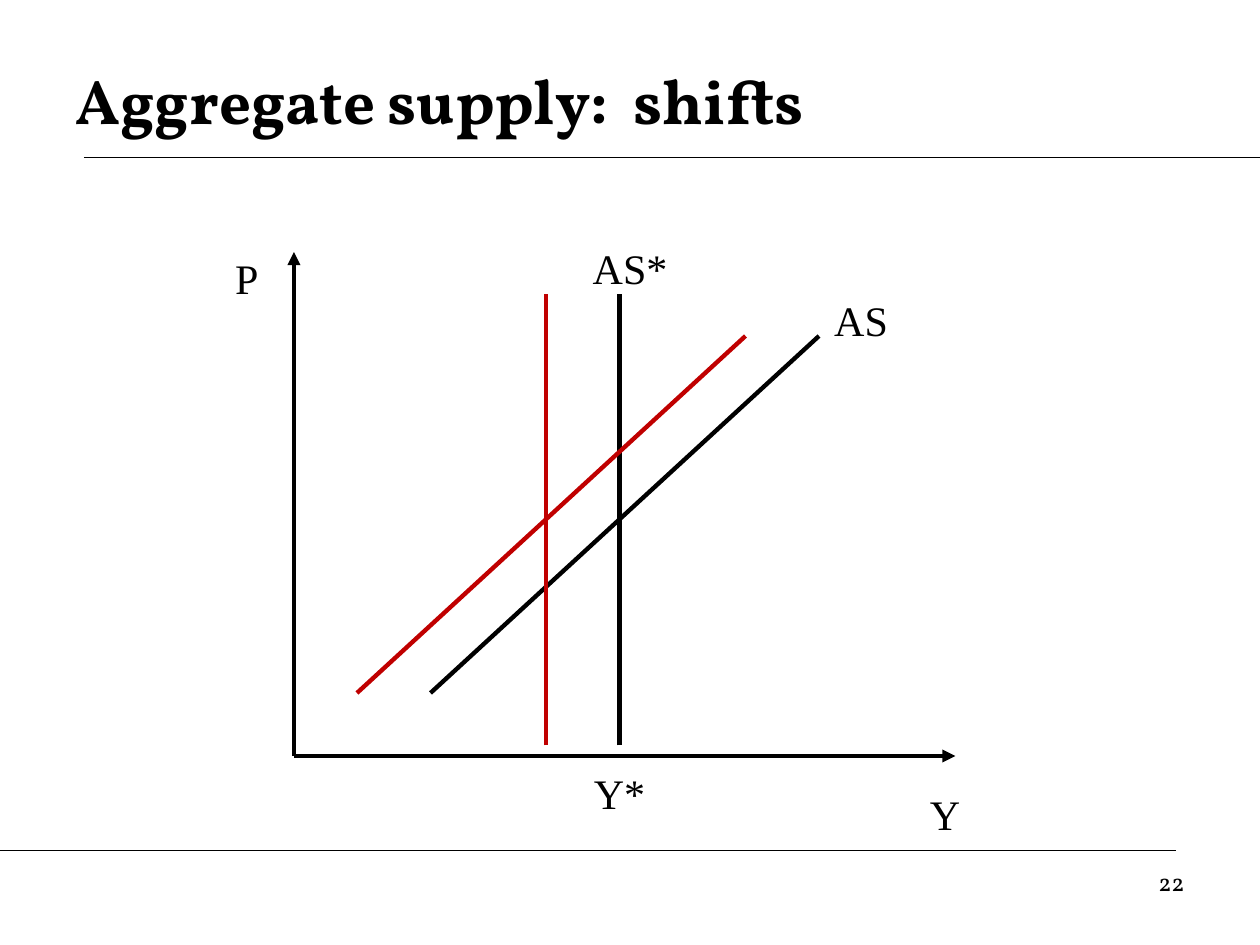
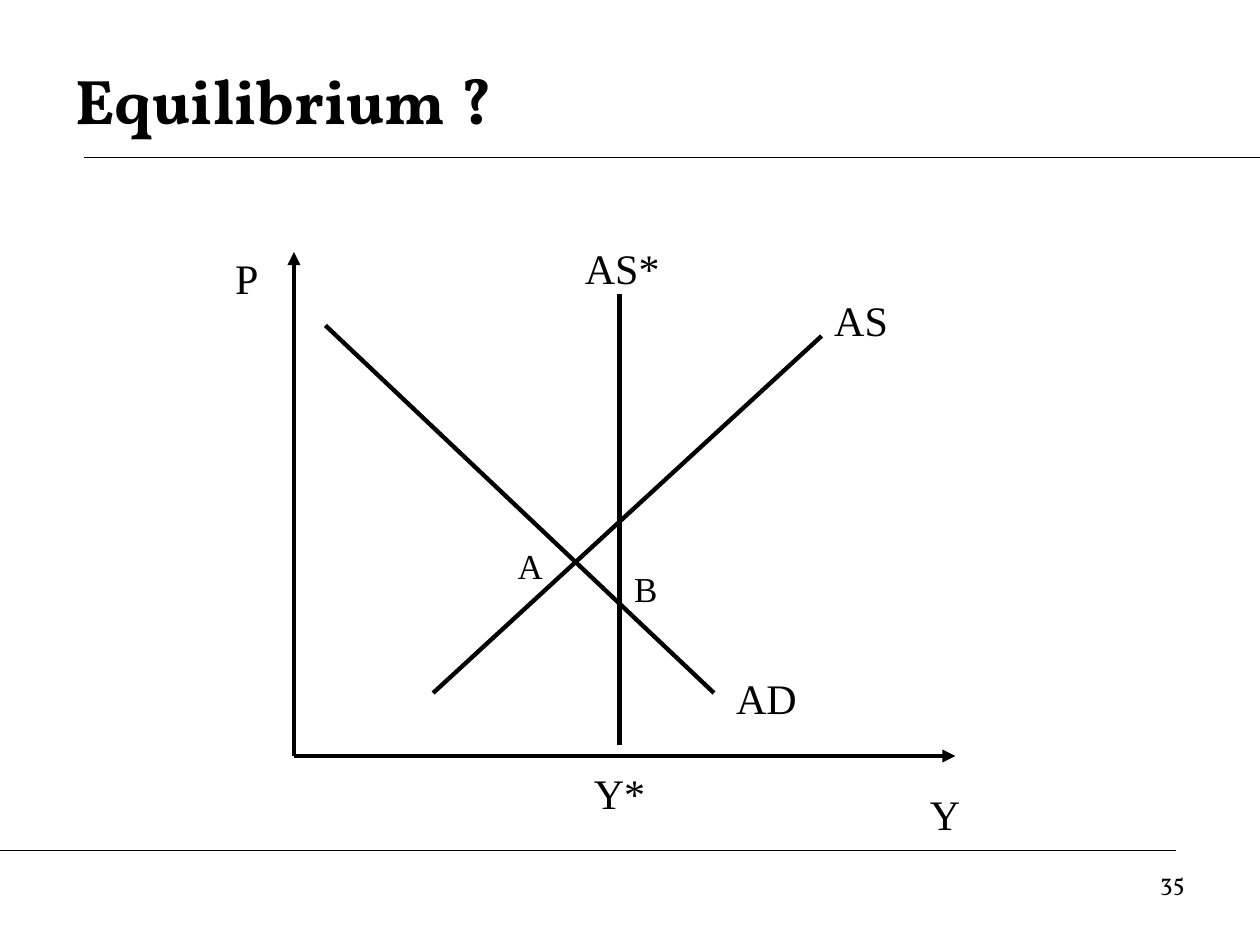
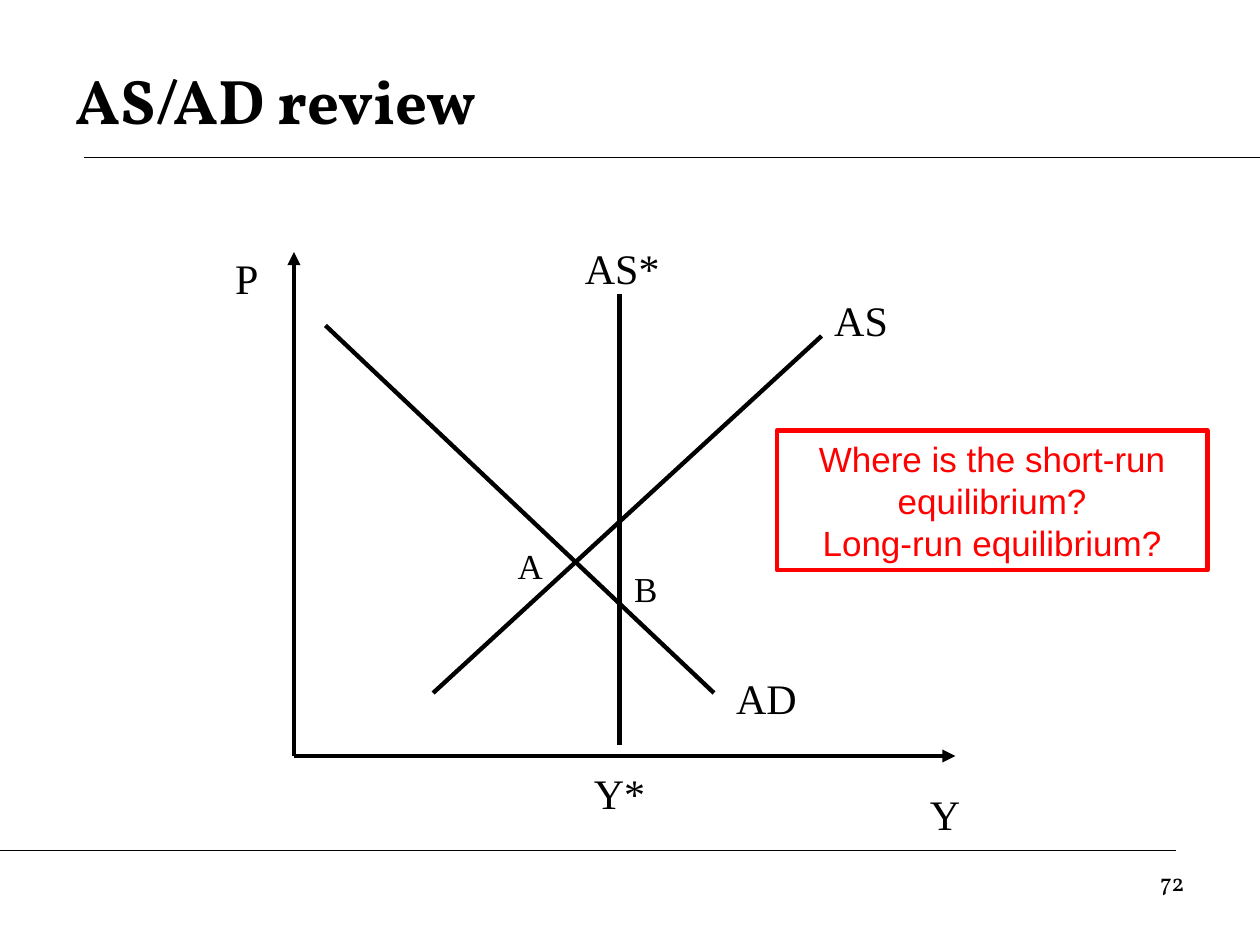
from lxml.etree import SubElement
from pptx import Presentation
from pptx.dml.color import RGBColor
from pptx.enum.shapes import MSO_CONNECTOR, MSO_SHAPE
from pptx.enum.text import MSO_ANCHOR, PP_ALIGN
from pptx.oxml.ns import qn
from pptx.util import Inches, Pt

# Theme: colours, line widths and text styles
BLACK, DARK_RED, RED = (RGBColor.from_string(c) for c in ("000000", "C00000", "FF0000"))
THEME = {
    "rule": Pt(0.75),
    "curve": Pt(2.5),
    "title": {
        "font": {"name": "Vollkorn", "size": Pt(36), "bold": True},
        "color": BLACK, "align": PP_ALIGN.LEFT,
        "frame": {"vertical_anchor": MSO_ANCHOR.MIDDLE},
    },
    "number": {
        "font": {"name": "Vollkorn", "size": Pt(14)},
        "color": BLACK, "align": PP_ALIGN.RIGHT, "frame": {},
    },
    "label": {
        "font": {"name": "Times New Roman", "size": Pt(24)},
        "color": BLACK, "align": PP_ALIGN.CENTER,
        "frame": {"margin_top": Inches(0.09), "margin_bottom": 0},
    },
    "point": {
        "font": {"name": "Times New Roman", "size": Pt(20)},
        "color": BLACK, "align": PP_ALIGN.CENTER,
        "frame": {"margin_top": Inches(0.09), "margin_bottom": 0},
    },
    "question": {
        "font": {"name": "Arial", "size": Pt(20)},
        "color": RED, "align": PP_ALIGN.CENTER,
        "frame": {"vertical_anchor": MSO_ANCHOR.MIDDLE},
    },
}

# Grid: 120 columns by 90 rows of square cells
deck = Presentation()
deck.slide_width, deck.slide_height = Inches(10), Inches(7.5)
CELL = deck.slide_width / 120


def draw_line(slide, ends, width, color=BLACK, arrow=False):
    """Draw a line between two grid points (column, row, column, row)."""
    line = slide.shapes.add_connector(
        MSO_CONNECTOR.STRAIGHT, *(round(end * CELL) for end in ends))
    line.line.color.rgb = color
    line.line.width = width
    if arrow:
        SubElement(line.line._get_or_add_ln(), qn("a:tailEnd"), type="triangle")
    SubElement(line._element.spPr, qn("a:effectLst"))


def write(slide, area, text, style, outline=None):
    """Write text in a grid area (column, row, columns, rows)."""
    place = [round(part * CELL) for part in area]
    if outline is None:
        box = slide.shapes.add_textbox(*place)
    else:
        box = slide.shapes.add_shape(MSO_SHAPE.RECTANGLE, *place)
        box.shadow.inherit = False
        box.fill.background()
        box.line.color.rgb = outline
        box.line.width = THEME["curve"]
    frame = box.text_frame
    frame.word_wrap = True
    frame.text = text
    for key, value in style["frame"].items():
        setattr(frame, key, value)
    for paragraph in frame.paragraphs:
        paragraph.alignment = style["align"]
        paragraph.font.color.rgb = style["color"]
        for key, value in style["font"].items():
            setattr(paragraph.font, key, value)


# Diagram parts: labels as (text, area, style), curves as (ends, colour)
axes = [(28, 72, 91, 72), (28, 72, 28, 24)]
common_labels = [
    ("Y", (86, 74, 8, 6), "label"),
    ("P", (20, 23, 7, 6), "label"),
    ("AS", (78, 27, 8, 6), "label"),
    ("Y*", (55, 72, 8, 6), "label"),
]
long_run_supply = ((59, 71, 59, 28), BLACK)

shift_curves = [
    long_run_supply,
    ((41, 66, 78, 32), BLACK),
    ((52, 71, 52, 28), DARK_RED),
    ((34, 66, 71, 32), DARK_RED),
]
shift_labels = [("AS*", (52, 22, 16, 6), "label")]

equilibrium_curves = [
    ((41.25, 66, 78.25, 32), BLACK),
    ((68, 66, 31, 31), BLACK),
    long_run_supply,
]
equilibrium_labels = [
    ("AD", (67.5, 63, 11, 6), "label"),
    ("AS*", (54.25, 22, 10, 6), "label"),
    ("A", (47, 50.75, 7, 5.2), "point"),
    ("B", (58, 53, 7, 5.2), "point"),
]

# Slides: title, page number, curves, extra labels, question
pages = [
    ("Aggregate supply:  shifts", "22", shift_curves, shift_labels, None),
    ("Equilibrium ?", "35", equilibrium_curves, equilibrium_labels, None),
    ("AS/AD review", "72", equilibrium_curves, equilibrium_labels,
     "Where is the short-run equilibrium?\nLong-run equilibrium?"),
]

for title, number, curves, labels, question in pages:
    slide = deck.slides.add_slide(deck.slide_layouts[6])

    # Rules, title and page number
    for rule in [(8, 15, 120, 15), (0, 81, 112, 81)]:
        draw_line(slide, rule, THEME["rule"])
    write(slide, (6, 4, 108, 11), title, THEME["title"])
    write(slide, (86, 82, 28, 6.25), number, THEME["number"])

    # Axes, curves and their labels
    for axis in axes:
        draw_line(slide, axis, THEME["curve"], arrow=True)
    for ends, color in curves:
        draw_line(slide, ends, THEME["curve"], color)
    for text, area, style in common_labels + labels:
        write(slide, area, text, THEME[style])

    # Framed question
    if question:
        write(slide, (74, 41, 41, 13.3), question, THEME["question"], outline=RED)

deck.save("out.pptx")
